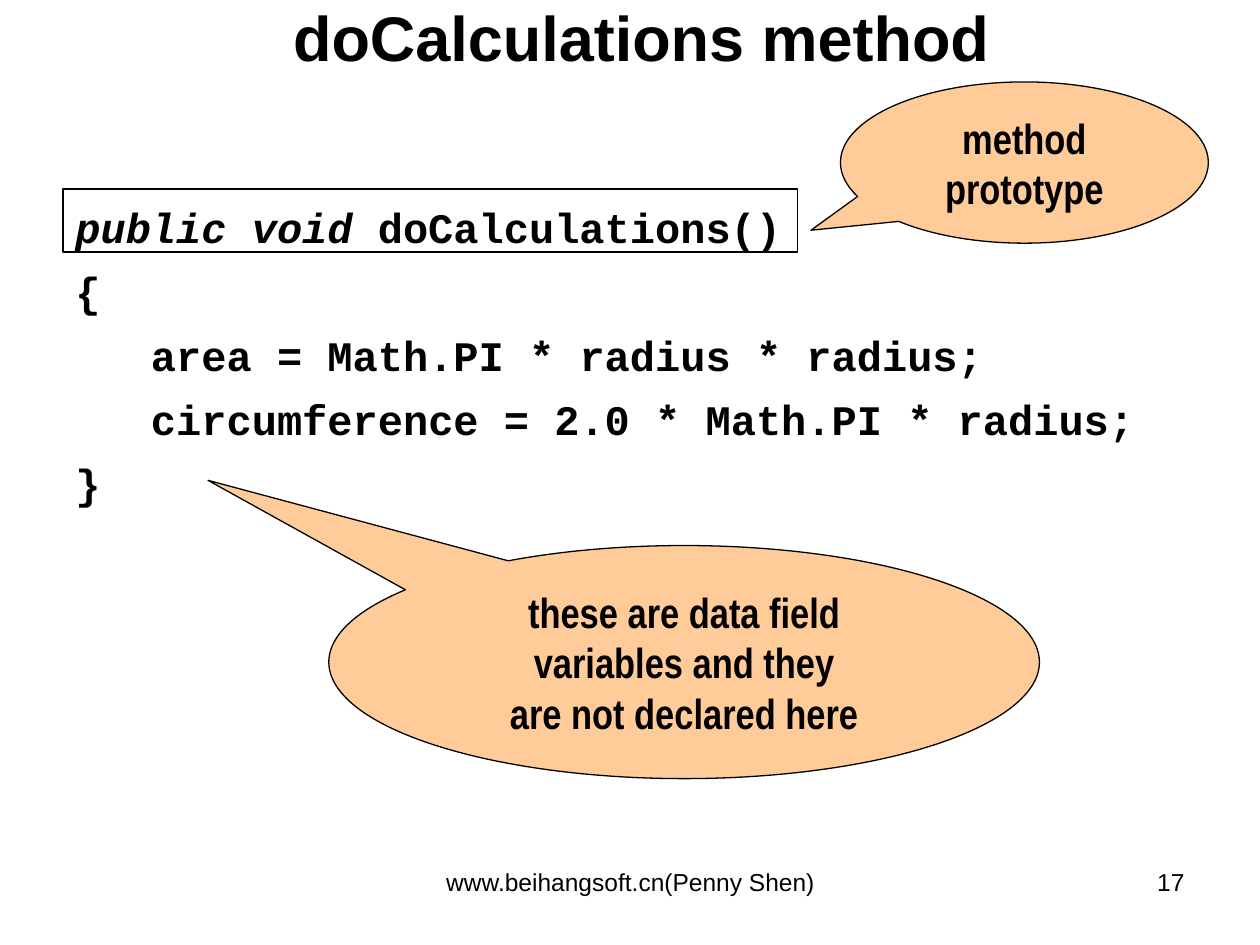
from pptx import Presentation
from pptx import util as u
from pptx.dml.color import RGBColor
from pptx.enum import shapes, text

INK, PEACH = "000000", "FFCC99"
LEFT, MID, RIGHT = text.PP_ALIGN.LEFT, text.PP_ALIGN.CENTER, text.PP_ALIGN.RIGHT


def color(code):
    return RGBColor.from_string(code)


class Deck:
    """Holds the style and the current slide."""
    head, code, note = "Arial", "Courier New", "Arial Narrow"

    def __init__(self):
        self.prs = Presentation()
        self.prs.slide_width, self.prs.slide_height = u.Inches(10), u.Inches(7.5)
        self.slide = self.prs.slides.add_slide(self.prs.slide_layouts[5])

    def put(self, frame, words, face, size, bold=True, align=MID, gap=0):
        frame.text = words
        frame.word_wrap = True
        frame.auto_size = text.MSO_AUTO_SIZE.NONE
        for i, para in enumerate(frame.paragraphs):
            para.alignment = align
            para.space_before = u.Pt(gap if i else 0)
            for run in para.runs:
                self.style(run, face, size, bold)

    def style(self, run, face, size, bold):
        font = run.font
        font.name, font.size, font.bold = face, u.Pt(size), bold
        font.color.rgb = color(INK)

    def title(self, words, *box):
        shape = self.slide.shapes.title
        shape.left, shape.top, shape.width, shape.height = map(u.Inches, box)
        self.put(shape.text_frame, words, self.head, 36)
        shape.text_frame.vertical_anchor = text.MSO_ANCHOR.MIDDLE

    def label(self, words, face, size, *box, **look):
        shape = self.slide.shapes.add_textbox(*map(u.Inches, box))
        self.put(shape.text_frame, words, face, size, **look)
        return shape.text_frame

    def shape(self, kind, *box, fill=None):
        shape = self.slide.shapes.add_shape(kind, *map(u.Inches, box))
        shape.shadow.inherit = False
        if fill:
            shape.fill.solid()
            shape.fill.fore_color.rgb = color(fill)
        else:
            shape.fill.background()
        shape.line.color.rgb = color(INK)
        shape.line.width = u.Pt(0.75)
        return shape

    def callout(self, words, tip, *box):
        kind = shapes.MSO_SHAPE.OVAL_CALLOUT
        shape = self.shape(kind, *box, fill=PEACH)
        shape.adjustments[0], shape.adjustments[1] = tip
        self.put(shape.text_frame, words, self.note, 24)
        shape.text_frame.vertical_anchor = text.MSO_ANCHOR.MIDDLE


def main():
    deck = Deck()
    deck.title("doCalculations method", 0.42, 0, 9.34, 0.58)

    # Code listing, with the keywords in italics
    lines = ["public void",
             "{",
             "   area = Math.PI * radius * radius;",
             "   circumference = 2.0 * Math.PI * radius;",
             "}"]
    frame = deck.label("\n".join(lines), deck.code, 24, 0.5, 0.67, 9.17, 6.33,
                       align=LEFT, gap=7.7)
    frame.margin_top = u.Inches(0.93)
    first = frame.paragraphs[0]
    first.runs[0].font.italic = True
    name = first.add_run()
    name.text = " doCalculations()"
    deck.style(name, deck.code, 24, True)

    # Callouts and the frame around the prototype
    deck.callout("these are data field\vvariables and they\vare not declared here",
                 (-0.67, -0.78), 2.61, 4.33, 5.64, 1.85)
    deck.callout("method prototype", (-0.58, 0.42), 6.67, 0.65, 2.92, 1.28)
    deck.shape(shapes.MSO_SHAPE.RECTANGLE, 0.5, 1.5, 5.83, 0.5)

    # Footer and page number
    deck.label("www.beihangsoft.cn(Penny Shen)", deck.head, 14,
               3.42, 6.83, 3.17, 0.52, bold=False)
    deck.label("17", deck.head, 14, 7.17, 6.83, 2.33, 0.52, bold=False, align=RIGHT)

    deck.prs.save("out.pptx")


if __name__ == "__main__":
    main()
